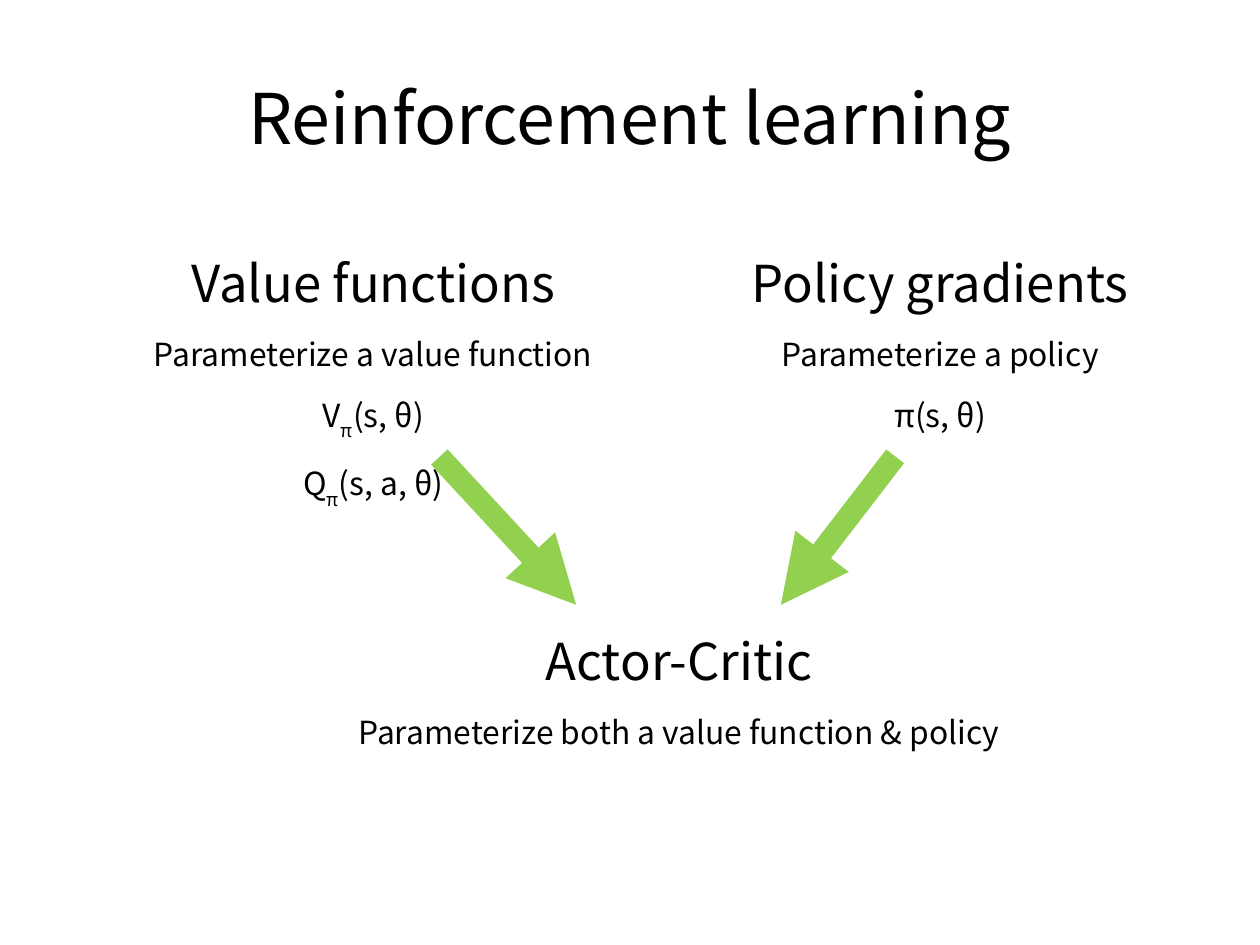
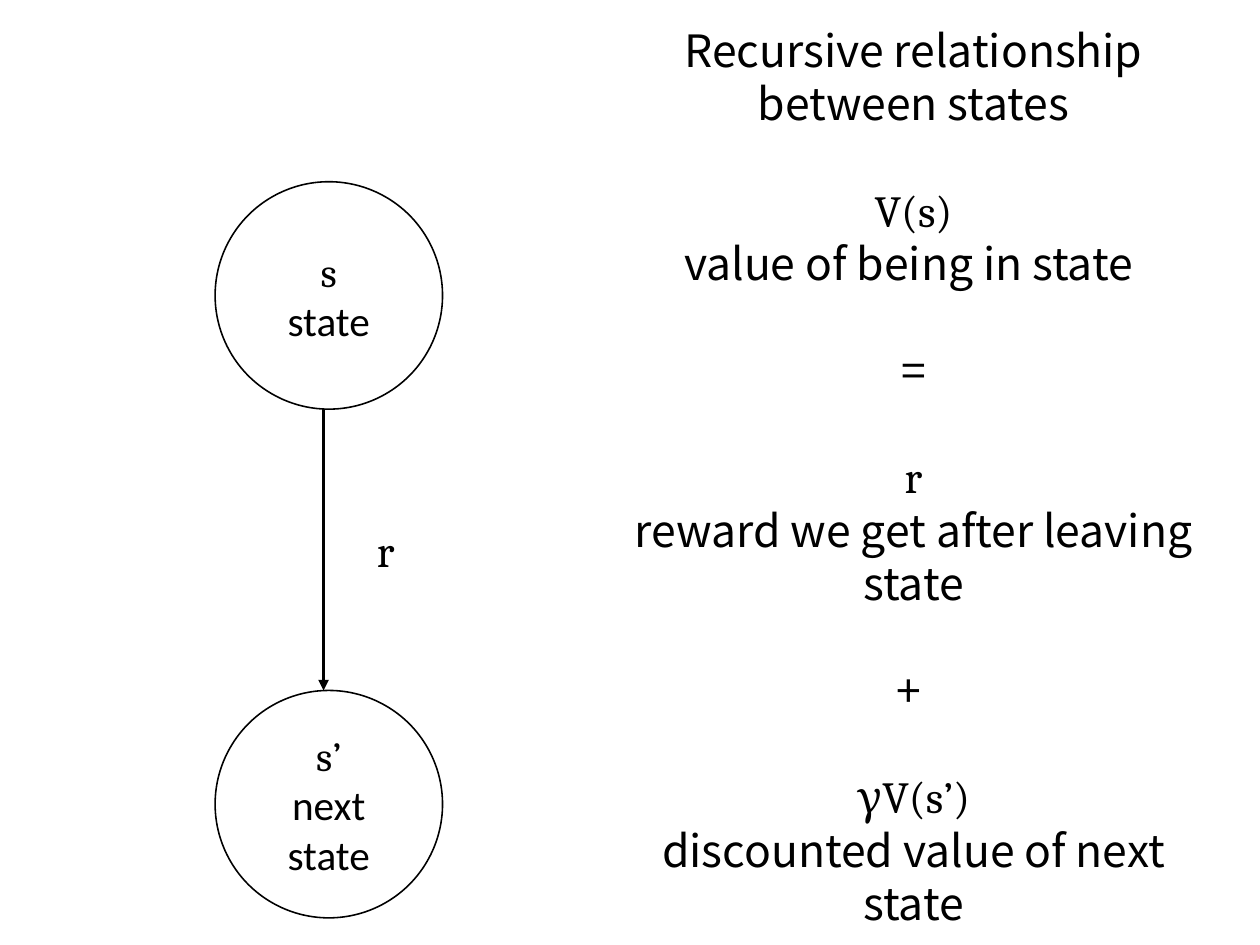
from dataclasses import dataclass

from lxml.etree import SubElement
from pptx import Presentation
from pptx.dml.color import RGBColor
from pptx.enum.shapes import MSO_CONNECTOR as Connector, MSO_SHAPE as Preset
from pptx.enum.text import MSO_ANCHOR as Anchor, MSO_AUTO_SIZE as AutoSize, PP_ALIGN as Align
from pptx.oxml.ns import qn
from pptx.slide import Slide
from pptx.text.text import TextFrame
from pptx.util import Cm, Inches, Length, Pt

BLACK = RGBColor(0x00, 0x00, 0x00)
WHITE = RGBColor(0xFF, 0xFF, 0xFF)
GREEN = RGBColor(0x92, 0xD0, 0x50)

SANS = "Noto Sans CJK JP"
MATH = "Cambria"
LABEL = "Calibri"

WIDTH, HEIGHT = Cm(28), Cm(21)
COLUMNS, ROWS = 40, 30
TITLE_ONLY = 5
BODY_INDENT = Inches(0.47)


def across(columns: float) -> Length:
    return Length(round(WIDTH * columns / COLUMNS))


def down(rows: float) -> Length:
    return Length(round(HEIGHT * rows / ROWS))


@dataclass(frozen=True)
class Area:
    column: float
    row: float
    columns: float
    rows: float

    def place(self) -> tuple[Length, Length, Length, Length]:
        return across(self.column), down(self.row), across(self.columns), down(self.rows)


@dataclass(frozen=True)
class Line:
    text: str
    size: float
    font: str = SANS
    before: float = 0
    subscript: str = ""
    rest: str = ""


@dataclass(frozen=True)
class Method:
    area: Area
    name: str
    details: tuple[Line, ...]


@dataclass(frozen=True)
class Arrow:
    start: tuple[float, float]
    end: tuple[float, float]
    color: RGBColor
    weight: float
    cap: str = "flat"


@dataclass(frozen=True)
class State:
    area: Area
    symbol: str
    meaning: str


def detail(text: str, subscript: str = "", rest: str = "") -> Line:
    return Line(text, 20, before=14.2, subscript=subscript, rest=rest)


def term(text: str, font: str = SANS, gap: bool = False) -> Line:
    return Line(text, 28, font, before=33.5 if gap else 0)


METHODS = (
    Method(Area(2, 7.98, 18, 20.57), "Value functions", (
        detail("Parameterize a value function"),
        detail("V", "π", "(s, θ)"),
        detail("Q", "π", "(s, a, θ)"),
    )),
    Method(Area(20, 7.98, 18, 20.57), "Policy gradients", (
        detail("Parameterize a policy"),
        detail("π(s, θ)"),
    )),
    Method(Area(3.41, 19.98, 34.59, 8.56), "Actor-Critic", (
        detail("Parameterize both a value function & policy"),
    )),
)

MERGING = (
    Arrow((14.19, 14.77), (18.29, 19.2), GREEN, 14.17, "sq"),
    Arrow((28.2, 14.77), (24.79, 19.2), GREEN, 14.17, "sq"),
)

RECURSION = (
    term("Recursive relationship between states"),
    term("V(s)", MATH, gap=True),
    term("value of being in state "),
    term("=", gap=True),
    term("r", MATH, gap=True),
    term("reward we get after leaving state"),
    term("+ ", gap=True),
    term("γV(s’)", MATH, gap=True),
    term("discounted value of next state"),
)

STATES = (
    State(Area(6.83, 5.77, 7.22, 7.22), "s", "state"),
    State(Area(6.83, 21.92, 7.22, 7.22), "s’", "next state"),
)

TRANSITION = Arrow((10.27, 12.99), (10.27, 21.92), BLACK, 2.25)


def write(frame: TextFrame, lines: tuple[Line, ...], anchor: Anchor) -> None:
    frame.word_wrap = True
    frame.auto_size = AutoSize.NONE
    frame.vertical_anchor = anchor
    frame.text = "\n".join(line.text for line in lines)
    for paragraph, line in zip(frame.paragraphs, lines):
        paragraph.alignment = Align.CENTER
        paragraph.space_before = Pt(line.before)
        if line.subscript:
            lowered = paragraph.add_run()
            lowered.text = line.subscript
            lowered._r.get_or_add_rPr().set("baseline", "-33000")
            paragraph.add_run().text = line.rest
        for run in paragraph.runs:
            run.font.name = line.font
            run.font.size = Pt(line.size)
            run.font.color.rgb = BLACK


def clear_insets(frame: TextFrame, left: Length = Length(0)) -> None:
    frame.margin_left = left
    frame.margin_top = frame.margin_right = frame.margin_bottom = 0


def set_title(slide: Slide, area: Area, lines: tuple[Line, ...]) -> None:
    title = slide.shapes.title
    title.left, title.top, title.width, title.height = area.place()
    clear_insets(title.text_frame)
    write(title.text_frame, lines, Anchor.MIDDLE)


def add_text(slide: Slide, area: Area, lines: tuple[Line, ...],
             anchor: Anchor, indent: Length = Length(0)) -> None:
    frame = slide.shapes.add_textbox(*area.place()).text_frame
    clear_insets(frame, indent)
    write(frame, lines, anchor)


def add_method(slide: Slide, method: Method) -> None:
    heading = Line(method.name, 32, before=14.2)
    add_text(slide, method.area, (heading, *method.details), Anchor.TOP, BODY_INDENT)


def add_arrow(slide: Slide, arrow: Arrow) -> None:
    (x1, y1), (x2, y2) = arrow.start, arrow.end
    connector = slide.shapes.add_connector(
        Connector.STRAIGHT, across(x1), down(y1), across(x2), down(y2))
    connector.line.color.rgb = arrow.color
    connector.line.width = Pt(arrow.weight)
    outline = connector.line._get_or_add_ln()
    outline.set("cap", arrow.cap)
    SubElement(outline, qn("a:tailEnd"), type="triangle")
    SubElement(connector._element.spPr, qn("a:effectLst"))


def add_state(slide: Slide, state: State) -> None:
    circle = slide.shapes.add_shape(Preset.OVAL, *state.area.place())
    circle.shadow.inherit = False
    circle.fill.solid()
    circle.fill.fore_color.rgb = WHITE
    circle.line.color.rgb = BLACK
    circle.line.width = Pt(1)
    write(circle.text_frame,
          (Line(state.symbol, 26, MATH), Line(state.meaning, 26, LABEL)), Anchor.MIDDLE)


def build_methods(slide: Slide) -> None:
    set_title(slide, Area(2, 1.2, 36, 5), (Line("Reinforcement learning", 44),))
    for method in METHODS:
        add_method(slide, method)
    for arrow in MERGING:
        add_arrow(slide, arrow)


def build_recursion(slide: Slide) -> None:
    set_title(slide, Area(19.98, 1.12, 18.04, 28), RECURSION)
    for state in STATES:
        add_state(slide, state)
    add_arrow(slide, TRANSITION)
    add_text(slide, Area(10.45, 14.96, 3.59, 4.97), (term("r", MATH),), Anchor.MIDDLE)


def main() -> None:
    deck = Presentation()
    deck.slide_width, deck.slide_height = WIDTH, HEIGHT
    for build in (build_methods, build_recursion):
        build(deck.slides.add_slide(deck.slide_layouts[TITLE_ONLY]))
    deck.save("out.pptx")


if __name__ == "__main__":
    main()
